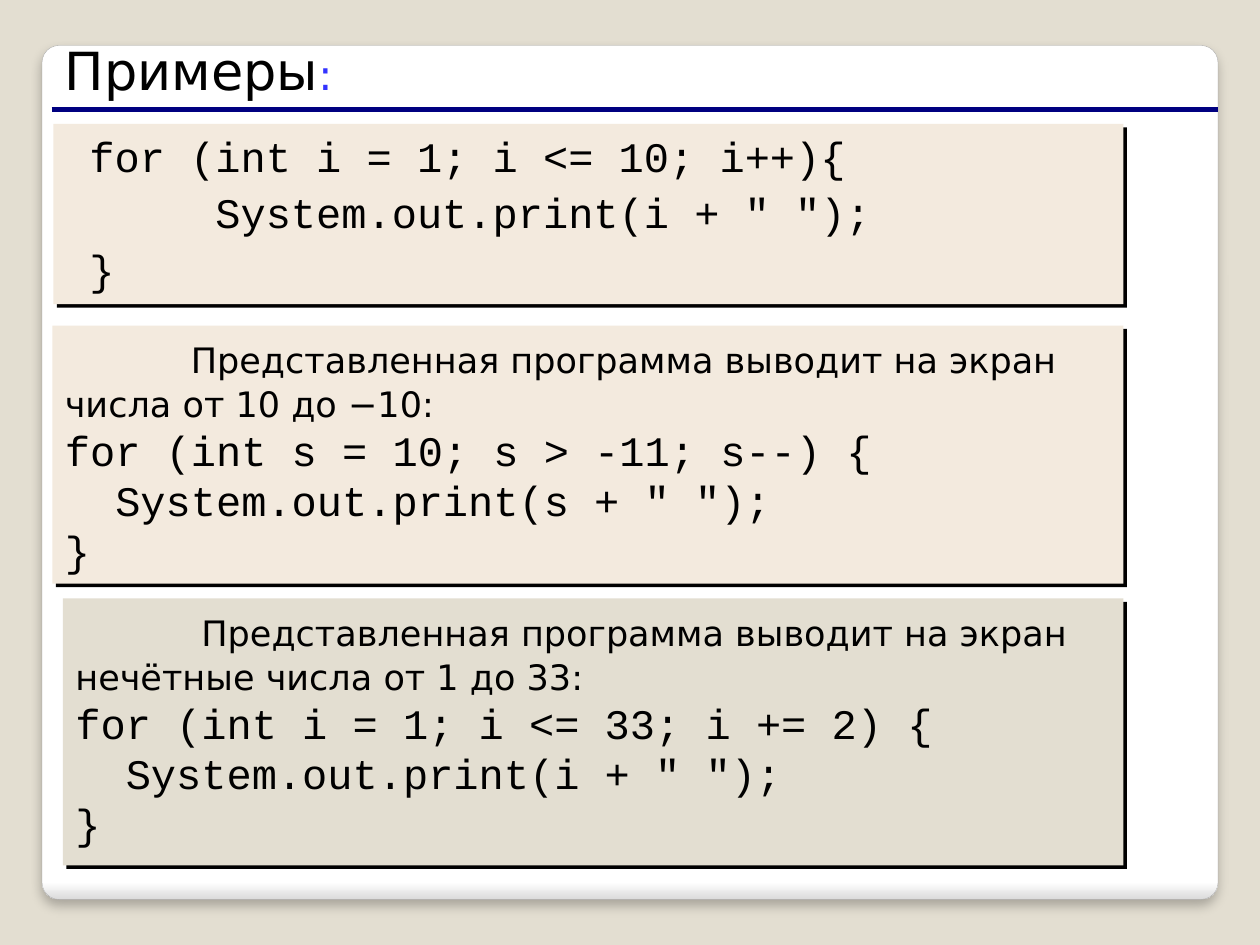
from lxml import etree
from pptx import Presentation
from pptx import util as u
from pptx.dml.color import RGBColor
from pptx.enum import shapes, text
from pptx.oxml import ns

Pt = u.Pt
SAND = RGBColor(0xE3, 0xDE, 0xD1)
CREAM = RGBColor(0xF3, 0xEA, 0xDE)
WHITE = RGBColor(0xFF, 0xFF, 0xFF)
EDGE = RGBColor(0xDA, 0xDA, 0xDA)
OUTLINE = RGBColor(0xA4, 0xA4, 0xA4)
NAVY = RGBColor(0x00, 0x00, 0x80)
BLUE = RGBColor(0x33, 0x33, 0xFF)
BLACK = RGBColor(0x00, 0x00, 0x00)
MONO, SANS = "Courier New", "DejaVu Sans"

FIRST_LOOP = [
    "\tfor (int i = 1; i <= 10; i++){",
    '\t\tSystem.out.print(i + " ");',
    "\t}",
]
COUNTDOWN = (
    "Представленная программа выводит на экран числа от 10 до −10:",
    'for (int s = 10; s > -11; s--) {\n  System.out.print(s + " ");\n}',
)
ODD_NUMBERS = (
    "Представленная программа выводит на экран нечётные числа от 1 до 33:",
    'for (int i = 1; i <= 33; i += 2) {\n  System.out.print(i + " ");\n}',
)


def style(r, size, font, color=BLACK):
    """Format one run."""
    r.font.size = Pt(size)
    r.font.name = font
    r.font.color.rgb = color


def align_left(p, hanging=0):
    """Left-align a paragraph with one-inch tabs and a hanging indent."""
    p.alignment = text.PP_ALIGN.LEFT
    props = p._p.get_or_add_pPr()
    props.set("marL", str(Pt(hanging)))
    props.set("indent", str(-Pt(hanging)))
    props.set("defTabSz", str(Pt(72)))


def add_shadow(sp, blur, dist, angle, alpha):
    """Give a shape a black outer shadow."""
    sp.shadow.inherit = False
    effects = sp._element.spPr.find(ns.qn("a:effectLst"))
    shadow = etree.SubElement(
        effects, ns.qn("a:outerShdw"), blurRad=str(Pt(blur)), dist=str(Pt(dist)),
        dir=str(angle * 60000), algn="tl", rotWithShape="0")
    color = etree.SubElement(shadow, ns.qn("a:srgbClr"), val=str(BLACK))
    etree.SubElement(color, ns.qn("a:alpha"), val=str(alpha * 1000))


def add_panel(slide, x, y, w, h):
    """Draw the rounded white panel behind the content."""
    sp = slide.shapes.add_shape(
        shapes.MSO_SHAPE.ROUNDED_RECTANGLE, Pt(x), Pt(y), Pt(w), Pt(h))
    sp.adjustments[0] = 0.02
    sp.fill.gradient()
    sp.fill.gradient_angle = 270
    for stop, (position, color) in zip(
            sp.fill.gradient_stops, [(0.98, WHITE), (1, EDGE)]):
        stop.position = position
        stop.color.rgb = color
    sp.line.color.rgb = OUTLINE
    sp.line.width = Pt(0.16)
    add_shadow(sp, 6, 4, 90, 25)


def add_heading(slide, x, y, w, h):
    """Place the heading with the rule under it."""
    rule = slide.shapes.add_connector(
        shapes.MSO_CONNECTOR.STRAIGHT, Pt(x), Pt(y + h), Pt(x + w), Pt(y + h))
    rule.line.color.rgb = NAVY
    rule.line.width = Pt(3)
    etree.SubElement(rule._element.spPr, ns.qn("a:effectLst"))
    tf = slide.shapes.add_textbox(Pt(x + 0.5), Pt(y), Pt(168.5), Pt(44)).text_frame
    tf.word_wrap = False
    p = tf.paragraphs[0]
    for words, size, color in [("Примеры", 30, BLACK), (":", 24, BLUE)]:
        r = p.add_run()
        r.text = words
        style(r, size, SANS, color)


def add_box(slide, x, y, w, h, color):
    """Draw a shadowed box and return its text frame."""
    sp = slide.shapes.add_shape(
        shapes.MSO_SHAPE.RECTANGLE, Pt(x), Pt(y), Pt(w), Pt(h))
    sp.fill.solid()
    sp.fill.fore_color.rgb = color
    sp.line.fill.background()
    add_shadow(sp, 0, 2.8, 45, 100)
    tf = sp.text_frame
    tf.word_wrap = True
    tf.vertical_anchor = text.MSO_ANCHOR.TOP
    return tf


def add_code(slide, x, y, w, h, color, lines):
    """Place a box of code with one paragraph per line."""
    tf = add_box(slide, x, y, w, h, color)
    tf.text = "\n".join(lines)
    for p in tf.paragraphs:
        align_left(p, 13.5)
        p.space_before = Pt(3.6)
        for r in p.runs:
            style(r, 24, MONO)


def add_example(slide, x, y, w, h, color, description, code):
    """Place a box with a description followed by its code."""
    tf = add_box(slide, x, y, w, h, color)
    intro, listing = tf.paragraphs[0], tf.add_paragraph()
    for words, size, font in [("\t", 24, MONO), (description, 20, SANS)]:
        r = intro.add_run()
        r.text = words
        style(r, size, font)
    listing.text = code
    for r in listing.runs:
        style(r, 24, MONO)
    for p in tf.paragraphs:
        align_left(p)


def main():
    """Build and save the slide."""
    prs = Presentation()
    prs.slide_width, prs.slide_height = Pt(720), Pt(540)
    slide = prs.slides.add_slide(prs.slide_layouts[6])
    slide.background.fill.solid()
    slide.background.fill.fore_color.rgb = SAND
    add_panel(slide, 24, 26, 672, 488)
    add_heading(slide, 29.5, 18, 666.5, 44.5)
    add_code(slide, 30.5, 70.8, 611.5, 103, CREAM, FIRST_LOOP)
    add_example(slide, 30, 186, 612, 147.5, CREAM, *COUNTDOWN)
    add_example(slide, 36, 342, 606, 152.5, SAND, *ODD_NUMBERS)
    prs.save("out.pptx")


if __name__ == "__main__":
    main()
